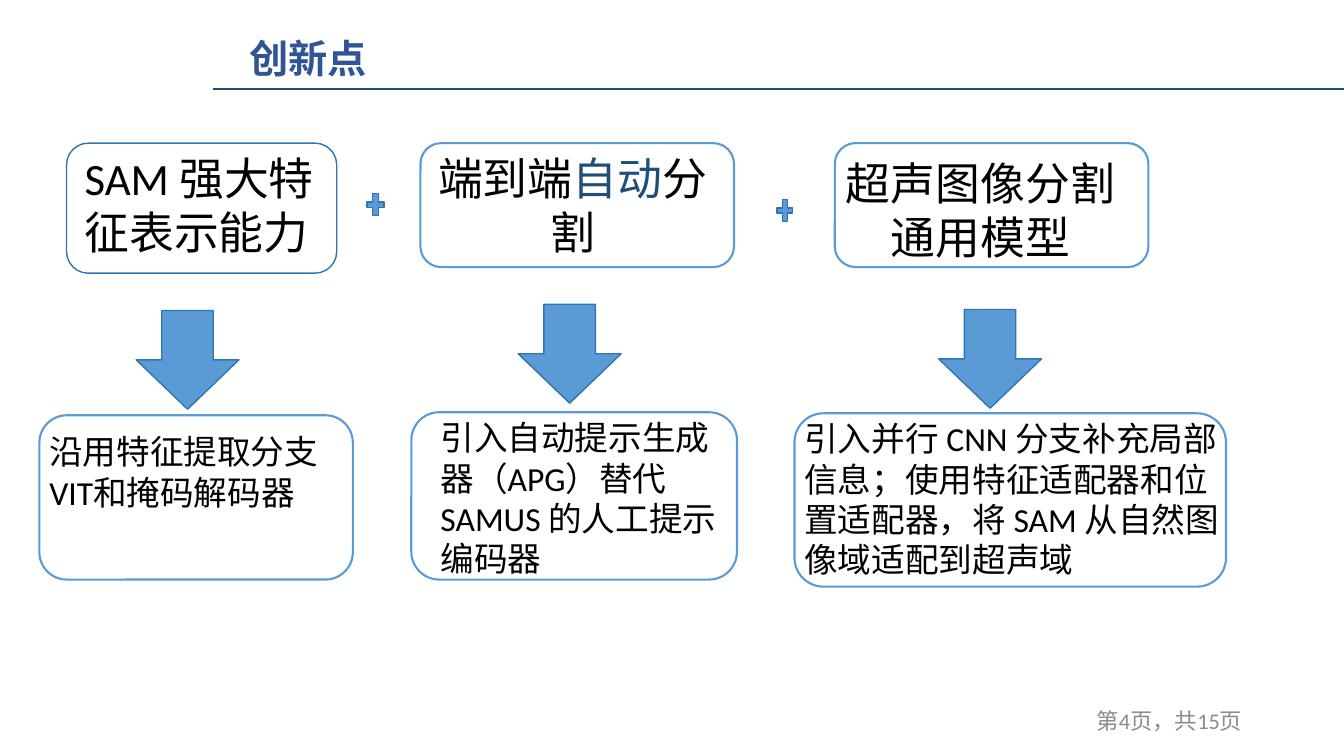
from dataclasses import dataclass
from typing import Optional

from lxml import etree
from pptx import Presentation
from pptx.dml.color import RGBColor
from pptx.enum.shapes import MSO_CONNECTOR, MSO_SHAPE
from pptx.enum.text import MSO_ANCHOR, MSO_AUTO_SIZE, PP_ALIGN
from pptx.oxml.ns import qn
from pptx.util import Emu, Pt

ROUNDED = MSO_SHAPE.ROUNDED_RECTANGLE
DOWN_ARROW = MSO_SHAPE.DOWN_ARROW
PLUS = MSO_SHAPE.MATH_PLUS
STRAIGHT = MSO_CONNECTOR.STRAIGHT
TOP, MIDDLE = MSO_ANCHOR.TOP, MSO_ANCHOR.MIDDLE
LEFT, CENTER, RIGHT = PP_ALIGN.LEFT, PP_ALIGN.CENTER, PP_ALIGN.RIGHT
NO_AUTOFIT = MSO_AUTO_SIZE.NONE

EMU_PER_PX = 9144
TITLE_ONLY = 5
LATIN_FONT = "Calibri"
TITLE_FONT = "Noto Sans CJK SC"
COLORS = {
    "white": "FFFFFF",
    "black": "000000",
    "title": "2F5597",
    "navy": "1F4E79",
    "edge": "2E75B6",
    "blue": "5B9BD5",
    "gray": "8C8C8C",
}


@dataclass(frozen=True)
class Area:
    left: int
    top: int
    width: int
    height: int

    def emu(self) -> list[Emu]:
        return [px(n) for n in (self.left, self.top, self.width, self.height)]


@dataclass(frozen=True)
class Figure:
    kind: int
    area: Area
    line: str
    line_width: float
    fill: Optional[str] = None


@dataclass(frozen=True)
class Caption:
    area: Area
    spans: tuple[tuple[str, str], ...]
    size: int
    align: PP_ALIGN = LEFT
    anchor: MSO_ANCHOR = TOP


def px(value: int) -> Emu:
    return Emu(value * EMU_PER_PX)


def color(name: str) -> RGBColor:
    return RGBColor.from_string(COLORS[name])


def outline(area: Area) -> Figure:
    return Figure(ROUNDED, area, "blue", 1.5)


def solid(kind: int, area: Area) -> Figure:
    return Figure(kind, area, "edge", 1, "blue")


def down_arrow(left: int, top: int) -> Figure:
    return solid(DOWN_ARROW, Area(left, top, 102, 98))


FIGURES = (
    Figure(ROUNDED, Area(66, 142, 268, 129), "edge", 1, "white"),
    outline(Area(417, 142, 311, 123)),
    outline(Area(828, 142, 311, 123)),
    outline(Area(39, 412, 311, 163)),
    outline(Area(408, 409, 323, 166)),
    outline(Area(788, 410, 428, 172)),
    down_arrow(135, 308),
    down_arrow(514, 302),
    down_arrow(931, 307),
    solid(PLUS, Area(361, 188, 23, 30)),
    solid(PLUS, Area(768, 194, 21, 30)),
)

CAPTIONS = (
    Caption(Area(74, 145, 264, 125), (("SAM 强大特征表示能力", "black"),), 32),
    Caption(
        Area(424, 145, 288, 108),
        (("端到端", "black"), ("自动", "navy"), ("分割", "black")),
        32,
        CENTER,
    ),
    Caption(Area(826, 150, 293, 88), (("超声图像分割通用模型", "black"),), 32, CENTER),
    Caption(Area(39, 423, 299, 121), (("沿用特征提取分支VIT和掩码解码器", "black"),), 24),
    Caption(
        Area(427, 409, 304, 166),
        (("引入自动提示生成器（APG）替代 SAMUS 的人工提示编码器", "black"),),
        24,
    ),
    Caption(
        Area(788, 410, 444, 171),
        (("引入并行 CNN 分支补充局部信息；使用特征适配器和位置适配器，将 SAM 从自然图像域适配到超声域", "black"),),
        24,
    ),
    Caption(Area(942, 695, 300, 40), (("第4页，共15页", "gray"),), 16, RIGHT, MIDDLE),
)


def write_text(box, spans, *, size: int, font: str = LATIN_FONT, bold: bool = False,
               align: PP_ALIGN = LEFT, anchor: MSO_ANCHOR = TOP) -> None:
    frame = box.text_frame
    frame.word_wrap = True
    frame.auto_size = NO_AUTOFIT
    frame.vertical_anchor = anchor
    para = frame.paragraphs[0]
    para.alignment = align
    for text, color_name in spans:
        span = para.add_run()
        span.text = text
        span.font.size = Pt(size)
        span.font.name = font
        span.font.bold = bold
        span.font.color.rgb = color(color_name)
        if font == TITLE_FONT:
            east_asian = etree.SubElement(span.font._element, qn("a:ea"))
            east_asian.set("typeface", font)


def draw_title(page) -> None:
    title = page.shapes.title
    title.left, title.top, title.width, title.height = Area(237, 29, 304, 57).emu()
    write_text(title, (("创新点", "title"),), size=28, font=TITLE_FONT, bold=True)
    rule = page.shapes.add_connector(STRAIGHT, px(211), px(88), px(1333), px(88))
    rule.line.color.rgb = color("navy")
    rule.line.width = Pt(1.25)
    etree.SubElement(rule._element.spPr, qn("a:effectLst"))


def draw_figure(page, figure: Figure) -> None:
    shape = page.shapes.add_shape(figure.kind, *figure.area.emu())
    shape.shadow.inherit = False
    shape.line.color.rgb = color(figure.line)
    shape.line.width = Pt(figure.line_width)
    if figure.fill is None:
        shape.fill.background()
    else:
        shape.fill.solid()
        shape.fill.fore_color.rgb = color(figure.fill)


def draw_caption(page, caption: Caption) -> None:
    box = page.shapes.add_textbox(*caption.area.emu())
    write_text(box, caption.spans, size=caption.size,
               align=caption.align, anchor=caption.anchor)


def main() -> None:
    deck = Presentation()
    deck.slide_width, deck.slide_height = px(1333), px(750)
    page = deck.slides.add_slide(deck.slide_layouts[TITLE_ONLY])
    draw_title(page)
    for figure in FIGURES:
        draw_figure(page, figure)
    for caption in CAPTIONS:
        draw_caption(page, caption)
    deck.save("out.pptx")


if __name__ == "__main__":
    main()
